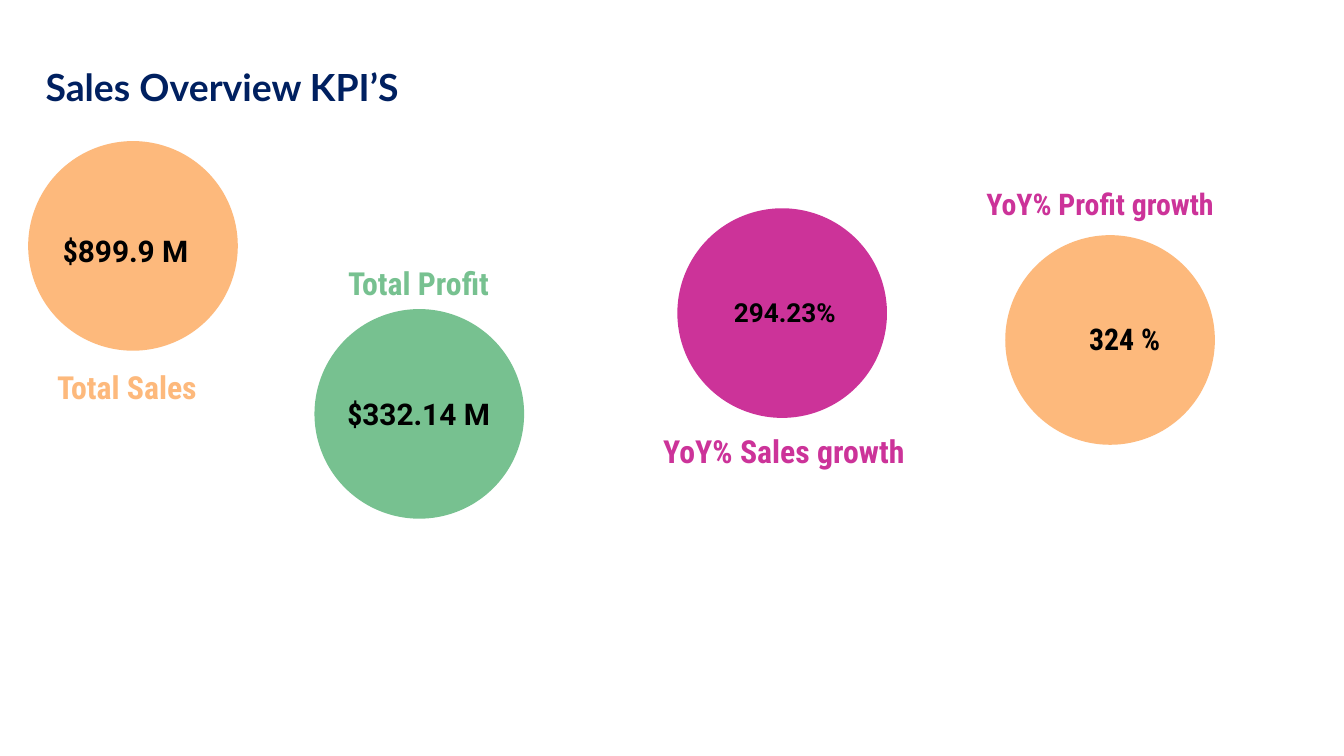
from pptx import Presentation
from pptx.dml.color import RGBColor
from pptx.enum import shapes, text
from pptx.util import Inches, Pt

ORANGE = RGBColor(0xFD, 0xB9, 0x7C)
GREEN = RGBColor(0x77, 0xC1, 0x90)
MAGENTA = RGBColor(0xCC, 0x33, 0x99)
NAVY = RGBColor(0x00, 0x20, 0x60)
BLACK = RGBColor(0, 0, 0)
LATO, ROBOTO, CONDENSED = "Lato", "Roboto", "Roboto Condensed"
LEFT, CENTER, RIGHT = text.PP_ALIGN.LEFT, text.PP_ALIGN.CENTER, text.PP_ALIGN.RIGHT
TOP, MIDDLE = text.MSO_ANCHOR.TOP, text.MSO_ANCHOR.MIDDLE
WIDTH = 10
DIAMETER = 1.56


def add_circle(page, left, top, color):
    circle = page.shapes.add_shape(
        shapes.MSO_SHAPE.OVAL, Inches(left), Inches(top), Inches(DIAMETER), Inches(DIAMETER))
    circle.shadow.inherit = False
    circle.fill.solid()
    circle.fill.fore_color.rgb = color
    circle.line.fill.background()


def add_text(page, area, spans, size, color, align=CENTER, anchor=TOP, inset=0.1, wrap=True):
    box = page.shapes.add_textbox(*map(Inches, area))
    frame = box.text_frame
    frame.word_wrap = wrap
    frame.vertical_anchor = anchor
    frame.margin_left = frame.margin_right = Inches(0.1)
    frame.margin_top = frame.margin_bottom = Inches(inset)
    para = frame.paragraphs[0]
    para.alignment = align
    for words, font in spans:
        span = para.add_run()
        span.text = words
        span.font.name = font
        span.font.size = Pt(size)
        span.font.bold = True
        span.font.color.rgb = color
    return para


def add_labels(page):
    para = add_text(page, (0.11, 2.58, 1.67, 0.55), [("Total Sales", CONDENSED)],
                    17, ORANGE, anchor=MIDDLE)
    para.line_spacing = 1.15
    para.space_before = para.space_after = Pt(12)
    add_text(page, (2.28, 1.86, 1.67, 0.55), [("Total Profit", CONDENSED)], 17, GREEN)
    add_text(page, (4.4, 3.11, 2.43, 0.55), [("YoY% Sales growth", CONDENSED)],
             17, MAGENTA, RIGHT)
    add_text(page, (7.2, 1.33, 1.93, 0.37), [("YoY% Profit growth", CONDENSED)],
             16, MAGENTA, RIGHT, inset=0.05, wrap=False)


def add_values(page):
    add_text(page, (0.35, 1.59, 1.15, 0.55), [("$", CONDENSED), ("899.9 M", ROBOTO)],
             16, BLACK, RIGHT, MIDDLE)
    add_text(page, (2.47, 2.8, 1.29, 0.55), [("$", CONDENSED), ("332.14 M", ROBOTO)],
             16, BLACK, anchor=MIDDLE)
    add_text(page, (5.27, 2.05, 1.14, 0.55), [("294.23%", ROBOTO)],
             14, BLACK, anchor=MIDDLE)
    add_text(page, (7.79, 2.34, 0.94, 0.37), [("324 %", CONDENSED)],
             16, BLACK, RIGHT, inset=0.05)


def main():
    """Build the sales KPI slide."""
    deck = Presentation()
    deck.slide_width, deck.slide_height = Inches(WIDTH), Inches(WIDTH * 9 / 16)
    page = deck.slides.add_slide(deck.slide_layouts[6])
    for left, top, color in [(0.21, 1.05, ORANGE), (2.34, 2.3, GREEN),
                             (5.04, 1.55, MAGENTA), (7.48, 1.75, ORANGE)]:
        add_circle(page, left, top, color)
    add_labels(page)
    add_values(page)
    add_text(page, (0.24, 0.38, 8.41, 0.63), [("Sales Overview KPI’S", LATO)], 20, NAVY, LEFT)
    deck.save("out.pptx")


if __name__ == "__main__":
    main()
